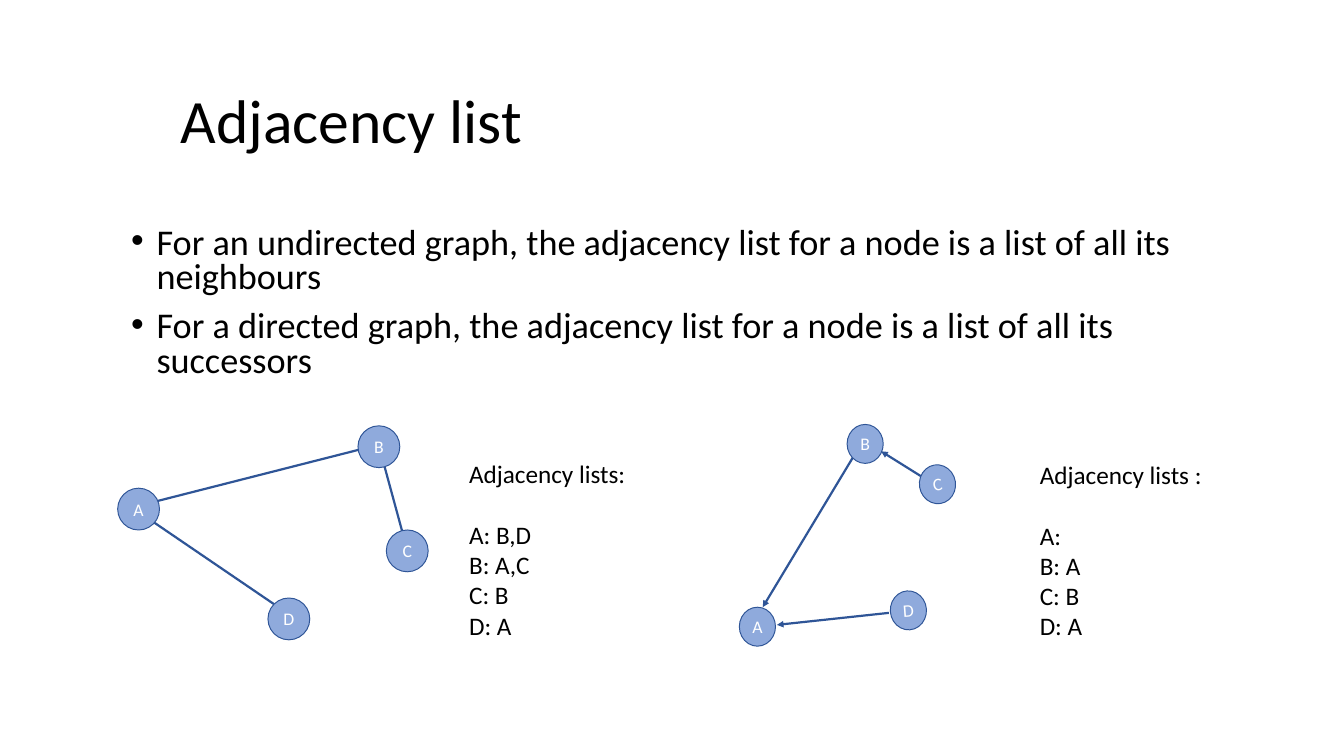
"""Build the slide that explains adjacency lists for undirected and directed graphs."""
from lxml.etree import SubElement
from pptx import Presentation
from pptx.dml.color import RGBColor
from pptx.enum.shapes import MSO_CONNECTOR, MSO_SHAPE
from pptx.enum.text import MSO_ANCHOR, MSO_AUTO_SIZE, PP_ALIGN
from pptx.oxml.ns import qn
from pptx.util import Inches, Pt

BLACK = RGBColor(0x00, 0x00, 0x00)
WHITE = RGBColor(0xFF, 0xFF, 0xFF)
NODE_BLUE = RGBColor(0x8F, 0xAA, 0xDC)
EDGE_BLUE = RGBColor(0x2F, 0x55, 0x97)


def set_font(paragraph, size, color=BLACK):
    paragraph.font.name = "Calibri"
    paragraph.font.size = Pt(size)
    paragraph.font.color.rgb = color


presentation = Presentation()
presentation.slide_width = Inches(18.96)
presentation.slide_height = Inches(10.67)
slide = presentation.slides.add_slide(presentation.slide_layouts[5])

title = slide.shapes.title
title.left, title.top, title.width, title.height = map(Inches, (2.45, 0.96, 15.64, 1.57))
title.text_frame.text = "Adjacency list"
title.text_frame.auto_size = MSO_AUTO_SIZE.NONE
title.text_frame.vertical_anchor = MSO_ANCHOR.MIDDLE
title_paragraph = title.text_frame.paragraphs[0]
title_paragraph.alignment = PP_ALIGN.LEFT
title_paragraph.line_spacing = 0.9
set_font(title_paragraph, 62.6)

definitions = slide.shapes.add_textbox(*map(Inches, (1.75, 3.16, 15.64, 2.33))).text_frame
definitions.word_wrap = True
definitions.text = (
    "For an undirected graph, the adjacency list for a node is a list of all its neighbours\n"
    "For a directed graph, the adjacency list for a node is a list of all its successors"
)
for index, paragraph in enumerate(definitions.paragraphs):
    properties = paragraph._p.get_or_add_pPr()
    properties.set("marL", str(Inches(0.36)))
    properties.set("indent", str(-Inches(0.36)))
    SubElement(properties, qn("a:buFont"), typeface="Arial")
    SubElement(properties, qn("a:buChar"), char="•")
    paragraph.line_spacing = 0.8
    paragraph.space_before = Pt(14.2 if index else 0)
    set_font(paragraph, 36.8)

graphs = [
    {
        "directed": False,
        "node_size": (0.59, 0.59),
        "edges": [(2.05, 7.29, 3.87, 8.53), (2.03, 7.12, 5.25, 6.3), (5.35, 6.31, 5.75, 7.78)],
        "nodes": [("A", 1.66, 6.89, 0), ("B", 5.05, 6.01, 0), ("D", 3.78, 8.44, 0), ("C", 5.45, 7.48, 0)],
        "list_box": (6.52, 6.42, 2.43, 2.69),
        "list_lines": ["Adjacency lists:", "A: B,D", "B: A,C", "C: B", "D: A"],
    },
    {
        "directed": True,
        "node_size": (0.51, 0.55),
        "edges": [(10.96, 8.82, 12.54, 8.65), (10.76, 8.57, 12.03, 6.46), (12.43, 6.37, 12.99, 6.72)],
        "nodes": [("A", 10.43, 8.57, 0), ("B", 11.95, 5.99, 0), ("D", 12.56, 8.34, 356), ("C", 12.97, 6.56, 351)],
        "list_box": (14.57, 6.43, 2.51, 2.69),
        "list_lines": ["Adjacency lists :", "A:", "B: A", "C: B", "D: A"],
    },
]

for graph in graphs:
    group = slide.shapes.add_group_shape().shapes

    for edge in graph["edges"]:
        connector = group.add_connector(MSO_CONNECTOR.STRAIGHT, *map(Inches, edge))
        connector.line.color.rgb = EDGE_BLUE
        connector.line.width = Pt(2.25)
        if graph["directed"]:
            SubElement(connector.line._get_or_add_ln(), qn("a:headEnd"), type="triangle")
        SubElement(connector._element.spPr, qn("a:effectLst"))

    for label, left, top, rotation in graph["nodes"]:
        node = group.add_shape(MSO_SHAPE.OVAL, *map(Inches, (left, top, *graph["node_size"])))
        node.rotation = rotation
        node.shadow.inherit = False
        node.fill.solid()
        node.fill.fore_color.rgb = NODE_BLUE
        node.line.color.rgb = EDGE_BLUE
        node.line.width = Pt(1)
        frame = node.text_frame
        frame.text = label
        frame.word_wrap = False
        frame.vertical_anchor = MSO_ANCHOR.MIDDLE
        frame.margin_left = frame.margin_right = frame.margin_top = frame.margin_bottom = 0
        frame.paragraphs[0].alignment = PP_ALIGN.CENTER
        set_font(frame.paragraphs[0], 18, WHITE)

    list_frame = group.add_textbox(*map(Inches, graph["list_box"])).text_frame
    list_frame.word_wrap = False
    list_frame.auto_size = MSO_AUTO_SIZE.SHAPE_TO_FIT_TEXT
    list_frame.text = "\n".join(graph["list_lines"])
    for paragraph in list_frame.paragraphs:
        set_font(paragraph, 25.6)
    list_frame.paragraphs[0].space_after = Pt(31)

presentation.save("out.pptx")
